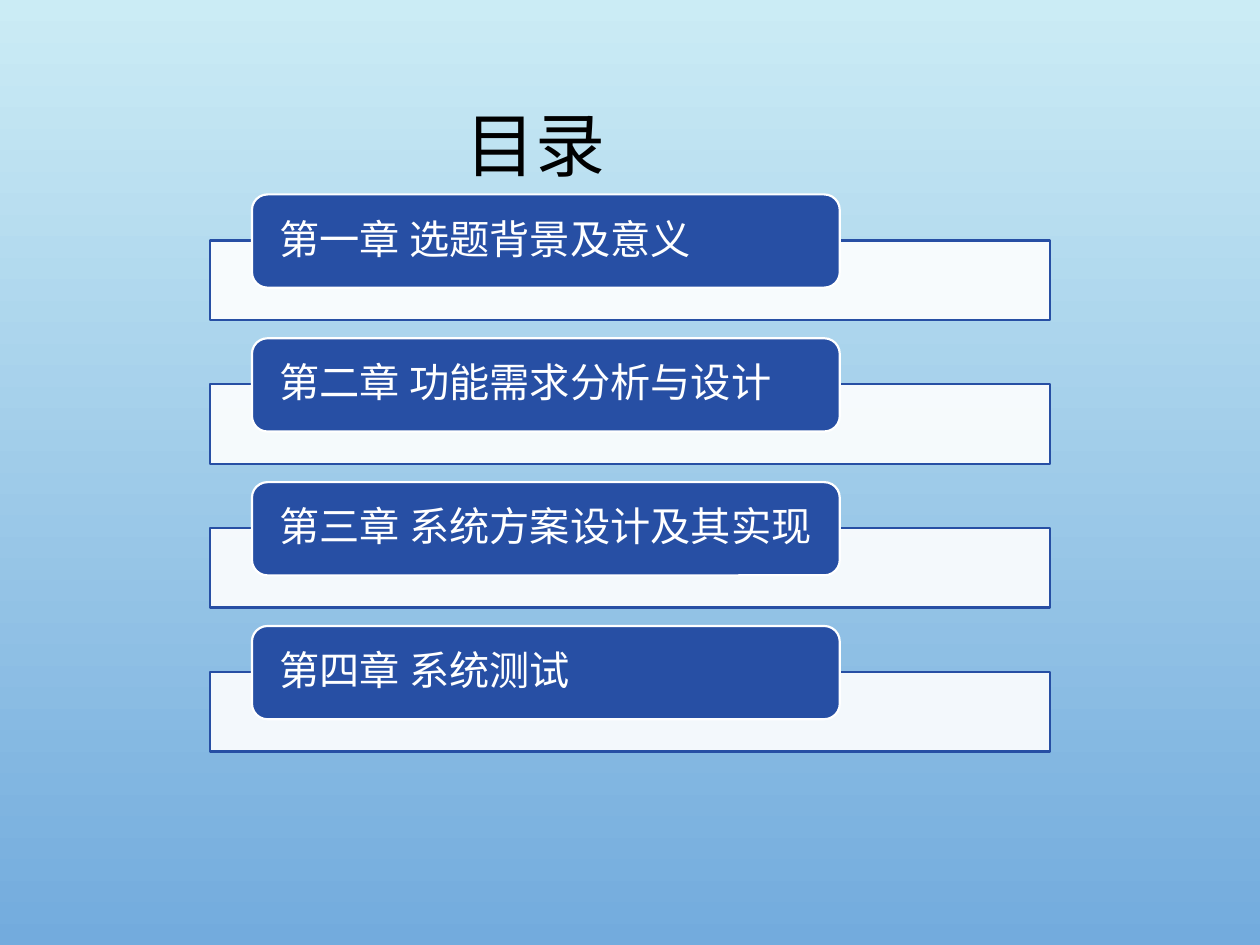
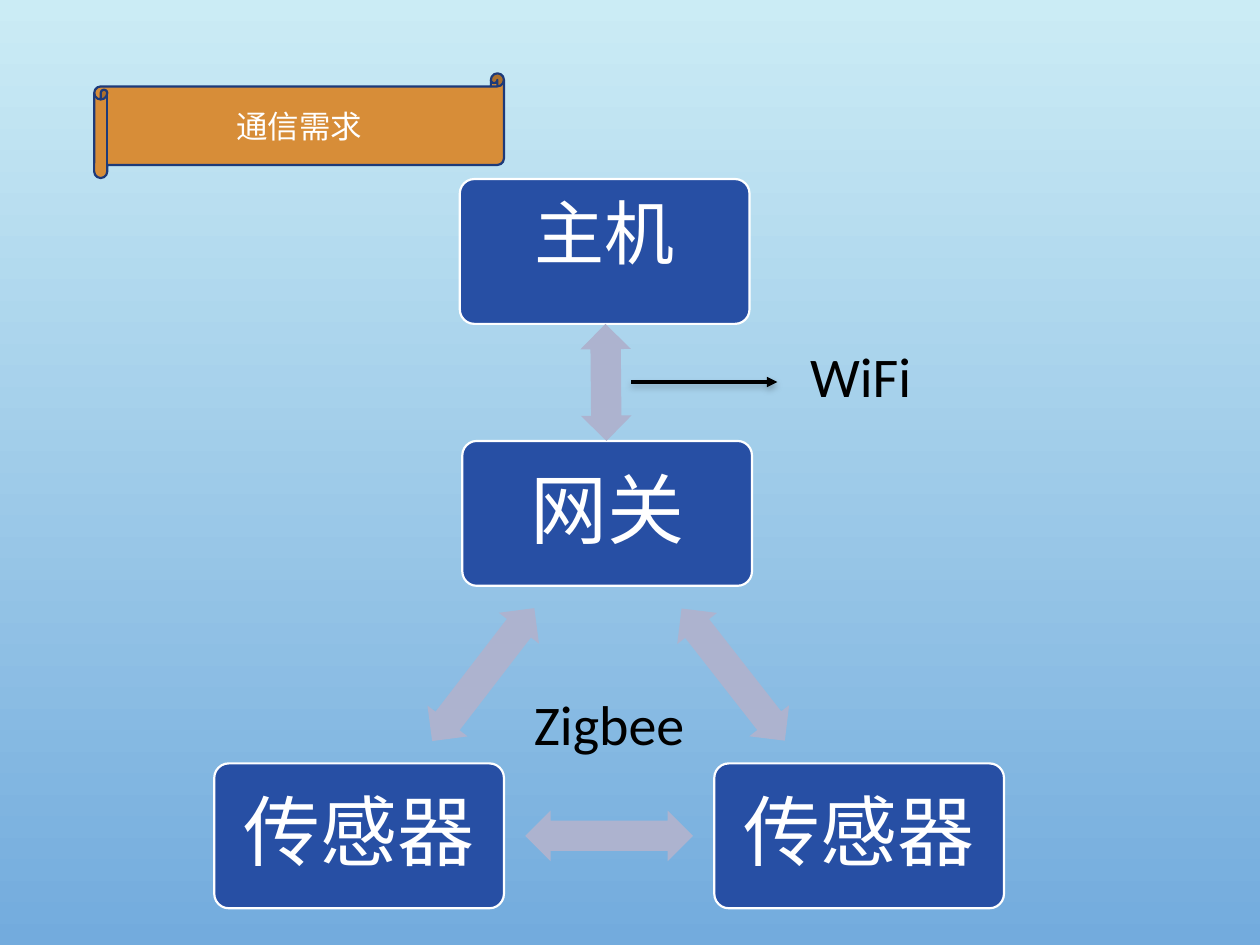
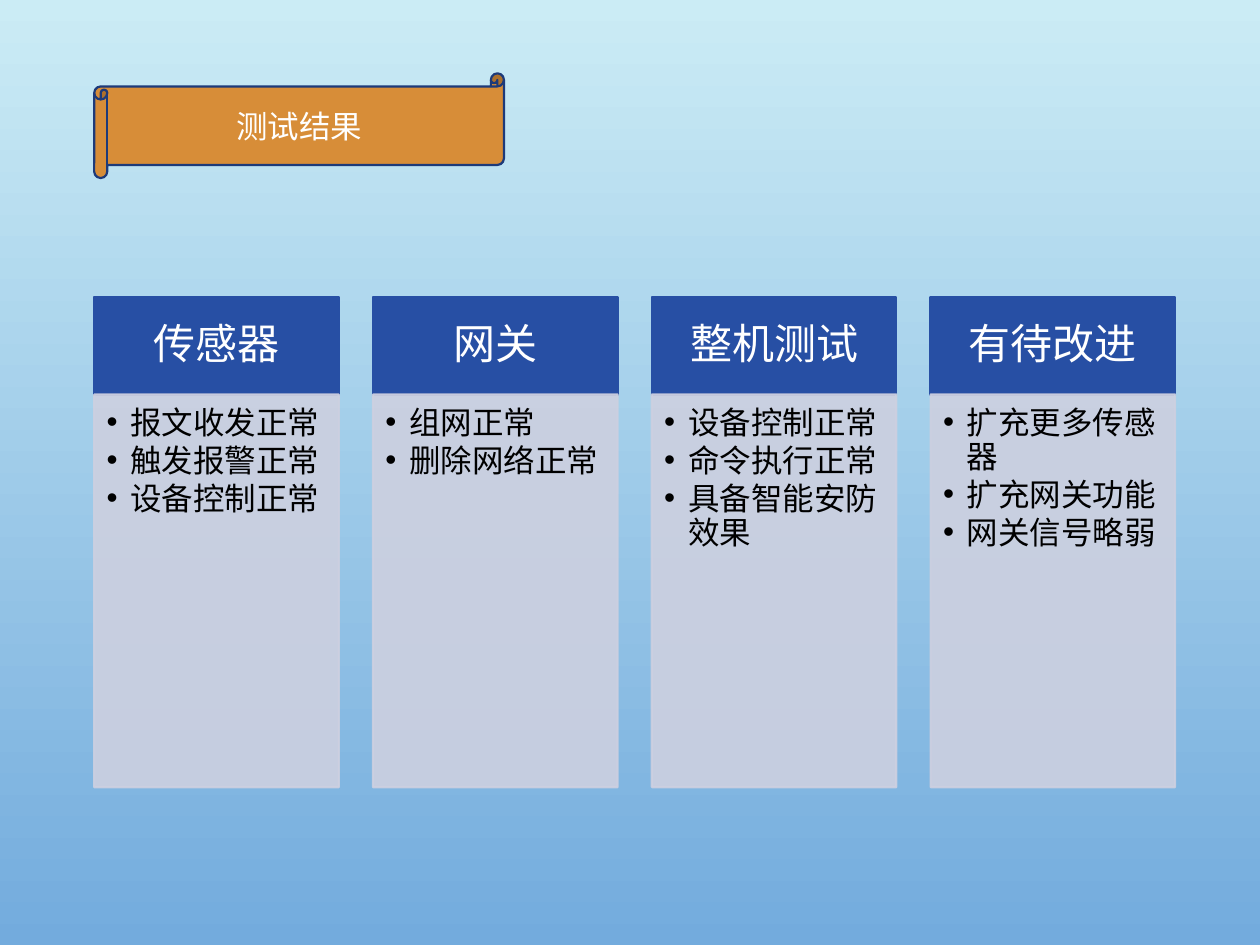
"""Build three slides: contents, communication needs and test results."""
from math import atan2, degrees

from lxml.etree import SubElement
from pptx import Presentation
from pptx.dml.color import RGBColor
from pptx.enum.shapes import MSO_CONNECTOR, MSO_SHAPE
from pptx.enum.text import MSO_ANCHOR, MSO_AUTO_SIZE, PP_ALIGN
from pptx.oxml.ns import qn
from pptx.util import Cm, Pt

C = {"sky": "CBECF5", "deep": "73ABDD", "blue": "274FA4", "navy": "1D3A79",
     "orange": "D78D38", "arrow": "ADB3CF", "panel": "CDD0E0",
     "white": "FFFFFF", "black": "000000"}
FONT = "Calibri"

CONTENTS_TITLE = "目录"
CHAPTERS = ["第一章 选题背景及意义", "第二章 功能需求分析与设计",
            "第三章 系统方案设计及其实现", "第四章 系统测试"]

NETWORK_TITLE = "通信需求"
NODE_W, NODE_H = 5.84, 2.92
NODES = {
    "host": ("主机", 12.19, 5.07, 40, MSO_ANCHOR.TOP),
    "gateway": ("网关", 12.24, 10.35, 44, MSO_ANCHOR.MIDDLE),
    "right": ("传感器", 17.32, 16.85, 44, MSO_ANCHOR.MIDDLE),
    "left": ("传感器", 7.24, 16.85, 44, MSO_ANCHOR.MIDDLE),
}
LINKS = [("gateway", "right", 3.38), ("left", "right", 3.38),
         ("gateway", "left", 3.38), ("host", "gateway", 2.36)]
LABELS = [("Zigbee", (10.16, 13.77, 4.24, 1.63), PP_ALIGN.CENTER),
          ("WiFi", (16.08, 6.76, 5.5, 1.63), PP_ALIGN.LEFT)]

RESULTS_TITLE = "测试结果"
RESULTS = [
    ("传感器", ["报文收发正常", "触发报警正常", "设备控制正常"]),
    ("网关", ["组网正常", "删除网络正常"]),
    ("整机测试", ["设备控制正常", "命令执行正常", "具备智能安防效果"]),
    ("有待改进", ["扩充更多传感器", "扩充网关功能", "网关信号略弱"]),
]


def rgb(name):
    return RGBColor.from_string(C[name])


def assign(obj, values):
    for name, value in values.items():
        setattr(obj, name, value)


def place(sp, box):
    assign(sp, dict(zip(("left", "top", "width", "height"), map(Cm, box))))


def to_front(s, sp):
    s.shapes._spTree.append(sp._element)


def paint(sp, fill, line=None, fill_alpha=100, line_alpha=100):
    sp.shadow.inherit = False
    sp.fill.solid()
    sp.fill.fore_color.rgb = rgb(fill)
    if line:
        sp.line.color.rgb = rgb(line)
        sp.line.width = Pt(1.25)
    else:
        sp.line.fill.background()
    for parent, alpha in (("a:solidFill", fill_alpha), ("a:ln/a:solidFill", line_alpha)):
        for clr in sp._element.spPr.xpath(f"./{parent}/a:srgbClr"):
            if alpha < 100:
                SubElement(clr, qn("a:alpha"), val=str(alpha * 1000))


def write(sp, lines, size, color="white", align=PP_ALIGN.CENTER,
          anchor=MSO_ANCHOR.MIDDLE, spacing=1.0, after=0, margins=None):
    tf = sp.text_frame
    assign(tf, {"word_wrap": True, "auto_size": MSO_AUTO_SIZE.NONE, "vertical_anchor": anchor})
    if margins:
        names = ("margin_left", "margin_top", "margin_right", "margin_bottom")
        assign(tf, dict(zip(names, map(Cm, margins))))
    for i, line in enumerate(lines):
        p = tf.paragraphs[0] if i == 0 else tf.add_paragraph()
        assign(p, {"alignment": align, "line_spacing": spacing,
                   "space_before": Pt(0), "space_after": Pt(after)})
        r = p.add_run()
        r.text = line
        assign(r.font, {"name": FONT, "size": Pt(size), "bold": False})
        r.font.color.rgb = rgb(color)


def add_box(s, kind, box, fill, line=None, **alphas):
    sp = s.shapes.add_shape(kind, *map(Cm, box))
    paint(sp, fill, line, **alphas)
    return sp


def add_scroll_title(s, text):
    box = (1.9, 1.48, 8.26, 2.11)
    add_box(s, MSO_SHAPE.HORIZONTAL_SCROLL, box, "orange", "navy")
    title = s.shapes.title
    place(title, box)
    write(title, [text], 18)
    to_front(s, title)


def add_bullets(sp):
    for p in sp.text_frame.paragraphs:
        pPr = p._p.get_or_add_pPr()
        pPr.set("marL", str(Cm(0.48)))
        pPr.set("indent", str(-Cm(0.48)))
        SubElement(pPr, qn("a:buFont"), typeface="Arial")
        SubElement(pPr, qn("a:buChar"), char="•")


def set_background(master):
    fill = master.background.fill
    fill.gradient()
    fill.gradient_angle = 270
    for stop, name in zip(fill.gradient_stops, ("sky", "deep")):
        stop.color.rgb = rgb(name)


def contents_slide(prs):
    s = prs.slides.add_slide(prs.slide_layouts[5])
    for i, chapter in enumerate(CHAPTERS):
        y = 3.92 + i * 2.9
        add_box(s, MSO_SHAPE.RECTANGLE, (4.24, y + 0.93, 16.93, 1.6),
                "white", "blue", fill_alpha=90)
        sp = add_box(s, MSO_SHAPE.ROUNDED_RECTANGLE, (5.08, y, 11.85, 1.88), "blue", "white")
        write(sp, [chapter], 23, align=PP_ALIGN.LEFT, spacing=0.9, margins=(0.46, 0, 0.2, 0))
    place(s.shapes.title, (5.08, 1.91, 11.43, 1.95))
    write(s.shapes.title, [CONTENTS_TITLE], 40, "black")
    to_front(s, s.shapes.title)


def add_wifi_pointer(s):
    line = s.shapes.add_connector(MSO_CONNECTOR.STRAIGHT, Cm(12.73), Cm(7.7), Cm(15.67), Cm(7.7))
    line.line.color.rgb = rgb("black")
    line.line.width = Pt(1.75)
    SubElement(line.line._get_or_add_ln(), qn("a:tailEnd"), type="triangle")
    effects = SubElement(line._element.spPr, qn("a:effectLst"))
    shadow = SubElement(effects, qn("a:outerShdw"), blurRad=str(Pt(4)),
                        dist=str(Pt(2)), dir="5400000", rotWithShape="0")
    clr = SubElement(shadow, qn("a:srgbClr"), val=C["black"])
    SubElement(clr, qn("a:alpha"), val="28000")


def network_slide(prs):
    s = prs.slides.add_slide(prs.slide_layouts[5])
    add_scroll_title(s, NETWORK_TITLE)
    for text, x, y, size, anchor in NODES.values():
        sp = add_box(s, MSO_SHAPE.ROUNDED_RECTANGLE,
                     (x - NODE_W / 2, y - NODE_H / 2, NODE_W, NODE_H), "blue", "white")
        sp.adjustments[0] = 0.1
        write(sp, [text], size, anchor=anchor,
              spacing=1.0 if anchor == MSO_ANCHOR.TOP else 0.9)
    for start, end, length in LINKS:
        (x1, y1), (x2, y2) = NODES[start][1:3], NODES[end][1:3]
        box = ((x1 + x2 - length) / 2, (y1 + y2 - 1.02) / 2, length, 1.02)
        sp = add_box(s, MSO_SHAPE.LEFT_RIGHT_ARROW, box, "arrow")
        sp.adjustments[0], sp.adjustments[1] = 0.6, 0.5
        sp.rotation = degrees(atan2(y2 - y1, x2 - x1))
    for text, box, align in LABELS:
        write(s.shapes.add_textbox(*map(Cm, box)), [text], 32, "black", align, MSO_ANCHOR.TOP)
    add_wifi_pointer(s)


def results_slide(prs):
    s = prs.slides.add_slide(prs.slide_layouts[4])
    add_scroll_title(s, RESULTS_TITLE)
    bodies = [ph for ph in s.placeholders if ph.placeholder_format.idx]
    for i, (body, (heading, findings)) in enumerate(zip(bodies, RESULTS)):
        x = 1.9 + i * 5.62
        sp = add_box(s, MSO_SHAPE.RECTANGLE, (x, 5.99, 4.93, 1.98), "blue", "blue")
        write(sp, [heading], 24, spacing=0.9)
        place(body, (x, 7.95, 4.93, 7.92))
        paint(body, "panel", "panel", fill_alpha=90, line_alpha=90)
        write(body, findings, 18, "black", PP_ALIGN.LEFT, MSO_ANCHOR.TOP,
              spacing=0.9, after=2.3, margins=(0.25, 0.25, 0.33, 0.41))
        add_bullets(body)
        to_front(s, body)


def main():
    prs = Presentation()
    prs.slide_width, prs.slide_height = Cm(25.4), Cm(19.05)
    set_background(prs.slide_master)
    contents_slide(prs)
    network_slide(prs)
    results_slide(prs)
    prs.save("out.pptx")


if __name__ == "__main__":
    main()
